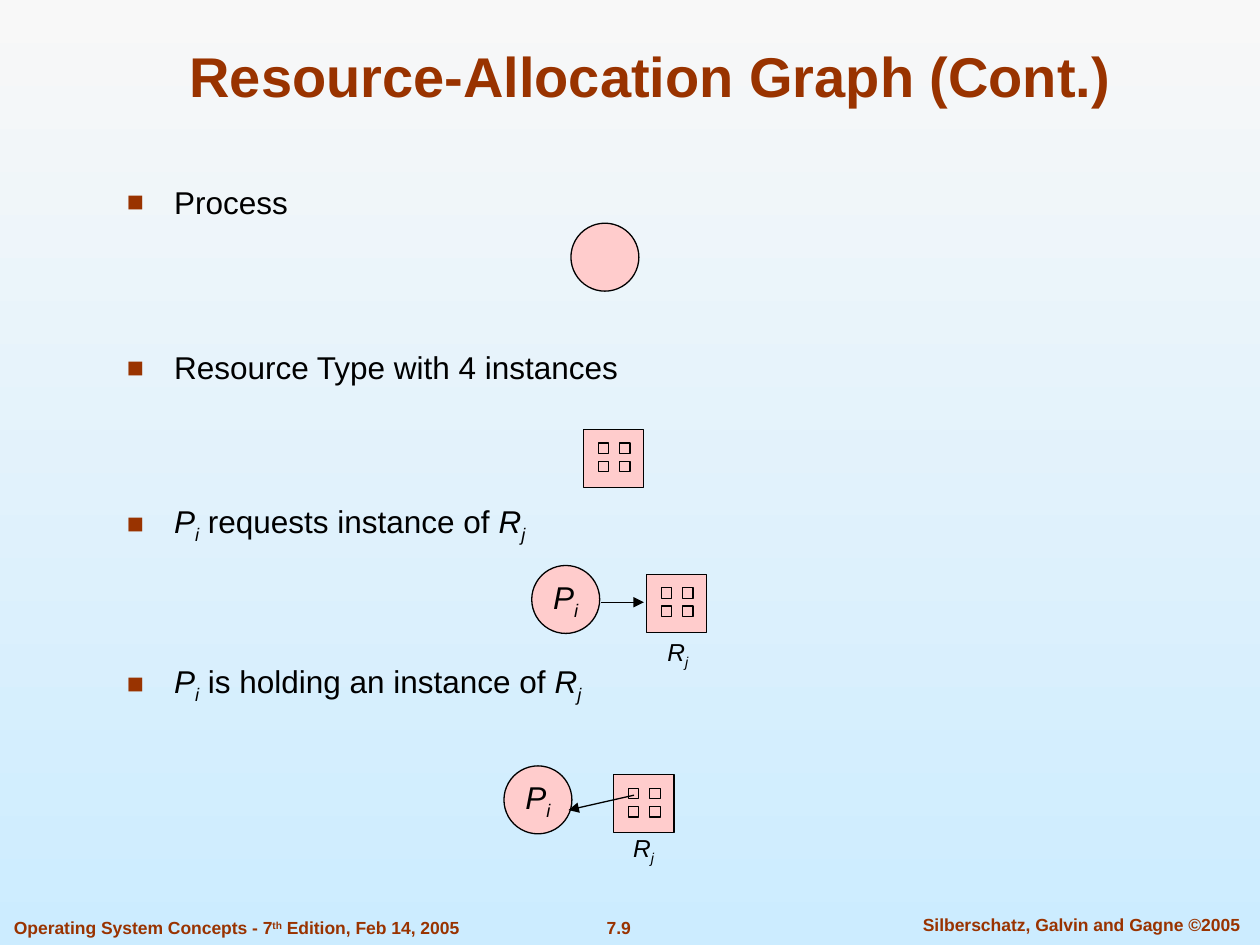
"""Build the resource-allocation graph symbols slide."""
from itertools import product

from lxml.etree import SubElement
from pptx import Presentation
from pptx.dml.color import RGBColor
from pptx.enum.shapes import MSO_CONNECTOR, MSO_SHAPE
from pptx.enum.text import MSO_ANCHOR, PP_ALIGN
from pptx.oxml.ns import qn
from pptx.util import Cm, Pt

RUST = RGBColor(0x99, 0x33, 0x00)
PINK = RGBColor(0xFF, 0xCC, 0xCC)
BLACK = RGBColor(0x00, 0x00, 0x00)
PALE = RGBColor(0xF8, 0xF8, 0xF8)
SKY = RGBColor(0xCC, 0xEC, 0xFF)

PROCESS = [("P", True, 0), ("i", True, -25)]
RESOURCE = [("R", True, 0), ("j", True, -25)]


def write(p, text, size=18, color=BLACK, bold=False, align=PP_ALIGN.LEFT, before=0):
    p.alignment = align
    p.space_before = Pt(before)
    runs = [(text, False, 0)] if isinstance(text, str) else text
    for content, italic, baseline in runs:
        r = p.add_run()
        r.text = content
        r.font.name = "Arial"
        r.font.size = Pt(size)
        r.font.bold = bold
        r.font.italic = italic
        r.font.color.rgb = color
        if baseline:
            r.font._element.set("baseline", str(baseline * 1000))


class GraphSlide:
    line_width = Pt(0.74)
    diameter = 1.37

    def __init__(self, prs):
        self.slide = prs.slides.add_slide(prs.slide_layouts[6])
        self.shapes = self.slide.shapes

    def background(self, top, bottom):
        fill = self.slide.background.fill
        fill.gradient()
        fill.gradient_angle = 270
        for stop, color, position in zip(fill.gradient_stops, (top, bottom), (0, 1)):
            stop.color.rgb = color
            stop.position = position

    def text_box(self, x, y, w, h, anchor=MSO_ANCHOR.TOP):
        sp = self.shapes.add_textbox(Cm(x), Cm(y), Cm(w), Cm(h))
        tf = sp.text_frame
        tf.word_wrap = True
        tf.vertical_anchor = anchor
        return tf

    def text(self, x, y, w, h, text, anchor=MSO_ANCHOR.TOP, **style):
        write(self.text_box(x, y, w, h, anchor).paragraphs[0], text, **style)

    def bullets(self, x, y, w, h, items):
        tf = self.text_box(x, y, w, h)
        for i, (text, before) in enumerate(items):
            p = tf.paragraphs[0] if i == 0 else tf.add_paragraph()
            write(p, text, before=before)
            pPr = p._p.get_or_add_pPr()
            pPr.set("marL", str(Cm(0.95)))
            pPr.set("indent", str(-Cm(0.95)))
            color = SubElement(pPr, qn("a:buClr"))
            SubElement(color, qn("a:srgbClr")).set("val", str(RUST))
            SubElement(pPr, qn("a:buSzPct")).set("val", "90000")
            SubElement(pPr, qn("a:buFont")).set("typeface", "Arial")
            SubElement(pPr, qn("a:buChar")).set("char", "■")

    def shape(self, kind, x, y, w, h, shapes=None):
        sp = (shapes or self.shapes).add_shape(kind, Cm(x), Cm(y), Cm(w), Cm(h))
        sp.shadow.inherit = False
        sp.fill.solid()
        sp.fill.fore_color.rgb = PINK
        sp.line.color.rgb = BLACK
        sp.line.width = self.line_width
        return sp

    def process(self, x, y, label=None):
        sp = self.shape(MSO_SHAPE.OVAL, x, y, self.diameter, self.diameter)
        if label:
            tf = sp.text_frame
            tf.word_wrap = False
            tf.vertical_anchor = MSO_ANCHOR.MIDDLE
            write(tf.paragraphs[0], label, align=PP_ALIGN.CENTER)

    def resource(self, x, y):
        group = self.shapes.add_group_shape().shapes
        self.shape(MSO_SHAPE.RECTANGLE, x, y, 1.22, 1.17, group)
        for row, col in product(range(2), repeat=2):
            self.shape(MSO_SHAPE.RECTANGLE, x + 0.3 + 0.43 * col,
                       y + 0.27 + 0.37 * row, 0.21, 0.21, group)

    def label(self, x, y, text):
        tf = self.text_box(x, y, 0.91, 0.94, MSO_ANCHOR.MIDDLE)
        tf.margin_left = tf.margin_right = 0
        write(tf.paragraphs[0], text, size=14, align=PP_ALIGN.CENTER)

    def arrow(self, x1, y1, x2, y2):
        line = self.shapes.add_connector(
            MSO_CONNECTOR.STRAIGHT, Cm(x1), Cm(y1), Cm(x2), Cm(y2))
        line.line.color.rgb = BLACK
        line.line.width = self.line_width
        SubElement(line.line._get_or_add_ln(), qn("a:tailEnd")).set("type", "triangle")
        SubElement(line._element.spPr, qn("a:effectLst"))


prs = Presentation()
prs.slide_width, prs.slide_height = Cm(25.4), Cm(19.05)
s = GraphSlide(prs)
s.background(PALE, SKY)

footer = {"size": 10, "color": RUST, "bold": True}
s.text(11.23, 18.37, 2.49, 0.69, "7.9", align=PP_ALIGN.CENTER, **footer)
s.text(18.03, 18.3, 7.54, 0.69, "Silberschatz, Galvin and Gagne ©2005",
       align=PP_ALIGN.CENTER, **footer)
s.text(0.03, 18.37, 10.2, 0.69,
       [("Operating System Concepts - 7", False, 0), ("th", False, 30),
        (" Edition, Feb 14, 2005", False, 0)], **footer)

s.text(1.9, 0.62, 22.43, 1.7, "Resource-Allocation Graph (Cont.)", MSO_ANCHOR.BOTTOM,
       size=32, color=RUST, bold=True, align=PP_ALIGN.CENTER)
s.bullets(2.31, 3.56, 20.42, 12.45, [
    ("Process", 0),
    ("Resource Type with 4 instances", 73),
    (PROCESS + [(" requests instance of ", False, 0)] + RESOURCE, 66.5),
    (PROCESS + [(" is holding an instance of ", False, 0)] + RESOURCE, 66.5),
])

s.process(11.51, 4.5)
s.resource(11.76, 8.66)

s.process(10.72, 11.4, PROCESS)
s.resource(13.03, 11.58)
s.arrow(12.12, 12.14, 12.98, 12.14)
s.label(13.21, 12.7, RESOURCE)

s.process(10.16, 15.44, PROCESS)
s.resource(12.37, 15.62)
s.arrow(12.78, 16.03, 11.46, 16.33)
s.label(12.52, 16.66, RESOURCE)

prs.save("out.pptx")
